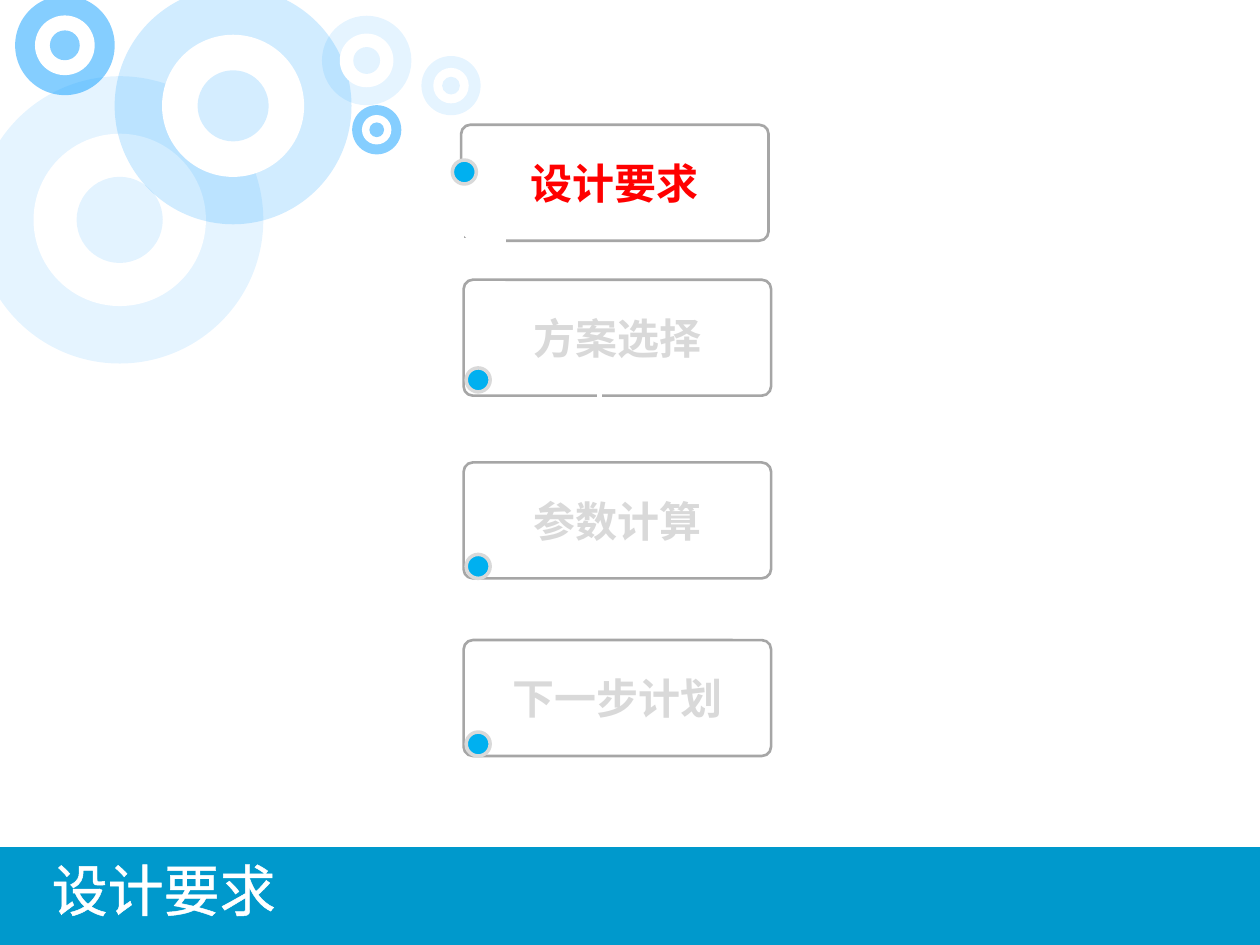
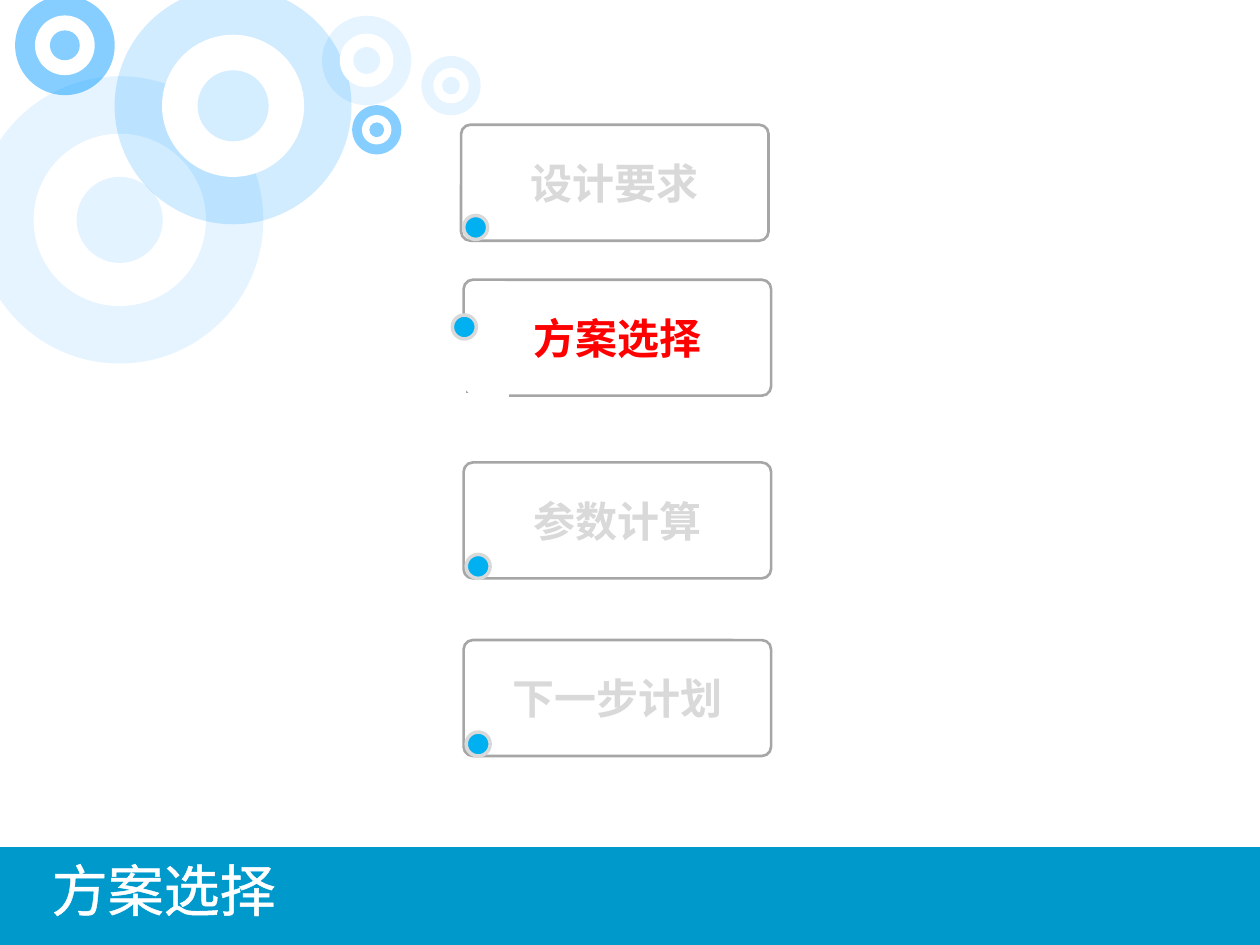
import pptx
import pptx.util
import pptx.dml.color
import pptx.enum.shapes
import pptx.enum.text
import pptx.oxml.ns
import lxml.etree

COLS, ROWS = 100, 75
CELL = pptx.util.Inches(0.1)
FONT = "Noto Sans CJK SC"
COLORS = {
    "band": "0099CC", "ring": "0099FF", "paper": "FFFFFF", "border": "A6A6A6",
    "active": "FF0000", "idle": "D9D9D9", "dot": "00B0F0",
}
SHAPES = pptx.enum.shapes.MSO_SHAPE

# center column, center row, diameter, outer opacity, core opacity
RINGS = [
    (9.5, 17.45, 22.8, 10, 11),
    (5.15, 3.6, 7.9, 48, 48),
    (18.5, 8.4, 18.8, 18, 17),
    (29.9, 10.3, 3.9, 48, 48),
    (29.1, 4.8, 7.1, 10, 11),
    (35.8, 6.8, 4.7, 10, 11),
]
# name, left column, top row, row of the idle dot inside the box
STAGES = [
    ("设计要求", 36.6, 9.9, 7.2),
    ("方案选择", 36.8, 22.2, 7.0),
    ("参数计算", 36.8, 36.7, 7.3),
    ("下一步计划", 36.8, 50.8, 7.3),
]
BOX_W, BOX_H = 24.4, 9.2
DOT = 1.9
ACTIVE_DOT_COL = 35.9


def cells(*lengths):
    return [int(n * CELL) for n in lengths]


def rgb(name):
    return pptx.dml.color.RGBColor.from_string(COLORS[name])


def xml_child(parent, tag, **attrs):
    return lxml.etree.SubElement(parent, pptx.oxml.ns.qn(tag), **attrs)


def add_shape(s, kind, at, fill=None, line=None, width=2, opacity=100):
    sp = s.shapes.add_shape(kind, *cells(*at))
    sp.shadow.inherit = False
    if fill:
        sp.fill.solid()
        sp.fill.fore_color.rgb = rgb(fill)
        if opacity < 100:
            color = sp.fill._xPr.find(".//" + pptx.oxml.ns.qn("a:srgbClr"))
            xml_child(color, "a:alpha", val=str(opacity * 1000))
    else:
        sp.fill.background()
    if line:
        sp.line.color.rgb = rgb(line)
        sp.line.width = pptx.util.Pt(width)
    else:
        sp.line.fill.background()
    return sp


def set_text(sp, text, size, color, bold=False):
    tf = sp.text_frame
    tf.text = text
    p = tf.paragraphs[0]
    p.alignment = pptx.enum.text.PP_ALIGN.CENTER
    r = p.runs[0]
    r.font.name = FONT
    r.font.size = pptx.util.Pt(size)
    r.font.bold = bold
    r.font.color.rgb = rgb(color)
    xml_child(r.font._rPr, "a:ea", typeface=FONT)
    return r


def add_ring(s, col, row, diameter, outer, core):
    layers = [(1, "ring", outer), (0.6, "paper", 100), (0.3, "ring", core)]
    for share, fill, opacity in layers:
        d = diameter * share
        add_shape(s, SHAPES.OVAL, (col - d / 2, row - d / 2, d, d), fill, opacity=opacity)


def add_eraser(s, x1, y1, x2, y2):
    cn = s.shapes.add_connector(
        pptx.enum.shapes.MSO_CONNECTOR.STRAIGHT, *cells(x1, y1, x2, y2))
    cn.line.color.rgb = rgb("paper")
    cn.line.width = pptx.util.Pt(3)
    xml_child(cn._element.spPr, "a:effectLst")


def add_title(s, text):
    sp = s.shapes.add_textbox(*cells(2, 67.4, 22, 6.4))
    tf = sp.text_frame
    tf.word_wrap = True
    tf.auto_size = pptx.enum.text.MSO_AUTO_SIZE.SHAPE_TO_FIT_TEXT
    rPr = set_text(sp, text, 32, "paper").font._rPr
    ln = xml_child(rPr, "a:ln", w=str(pptx.util.Pt(1.45)))
    xml_child(xml_child(ln, "a:solidFill"), "a:srgbClr", val=COLORS["paper"])
    rPr.insert(0, ln)


def add_stage(s, name, left, top, dot_row, active):
    sp = add_shape(s, SHAPES.ROUNDED_RECTANGLE, (left, top, BOX_W, BOX_H),
                   line="border", width=1.5)
    sp.adjustments[0] = 0.08
    sp.text_frame.word_wrap = False
    sp.text_frame.vertical_anchor = pptx.enum.text.MSO_ANCHOR.MIDDLE
    set_text(sp, name, 24, "active" if active else "idle", bold=True)
    if active:
        dot_at = (ACTIVE_DOT_COL, top + 2.8)
        bottom = top + BOX_H
        add_eraser(s, left, top + 4.75, left, bottom + 0.1)
        add_eraser(s, left + 0.1, bottom, left + 3.6, bottom)
    else:
        dot_at = (left + 0.2, top + dot_row)
    add_shape(s, SHAPES.FLOWCHART_CONNECTOR, (*dot_at, DOT, DOT), "dot", "idle")


def add_agenda(prs, current):
    s = prs.slides.add_slide(prs.slide_layouts[6])
    add_shape(s, SHAPES.RECTANGLE, (0, 67.4, COLS, ROWS - 67.4), "band", "band")
    for ring in RINGS:
        add_ring(s, *ring)
    add_title(s, STAGES[current][0])
    for i, stage in enumerate(STAGES):
        add_stage(s, *stage, active=i == current)
    return s


def main():
    prs = pptx.Presentation()
    prs.slide_width, prs.slide_height = cells(COLS, ROWS)
    s = add_agenda(prs, 0)
    add_eraser(s, 47.6, 29.2, 47.6, 33.8)
    add_agenda(prs, 1)
    prs.save("out.pptx")


if __name__ == "__main__":
    main()
